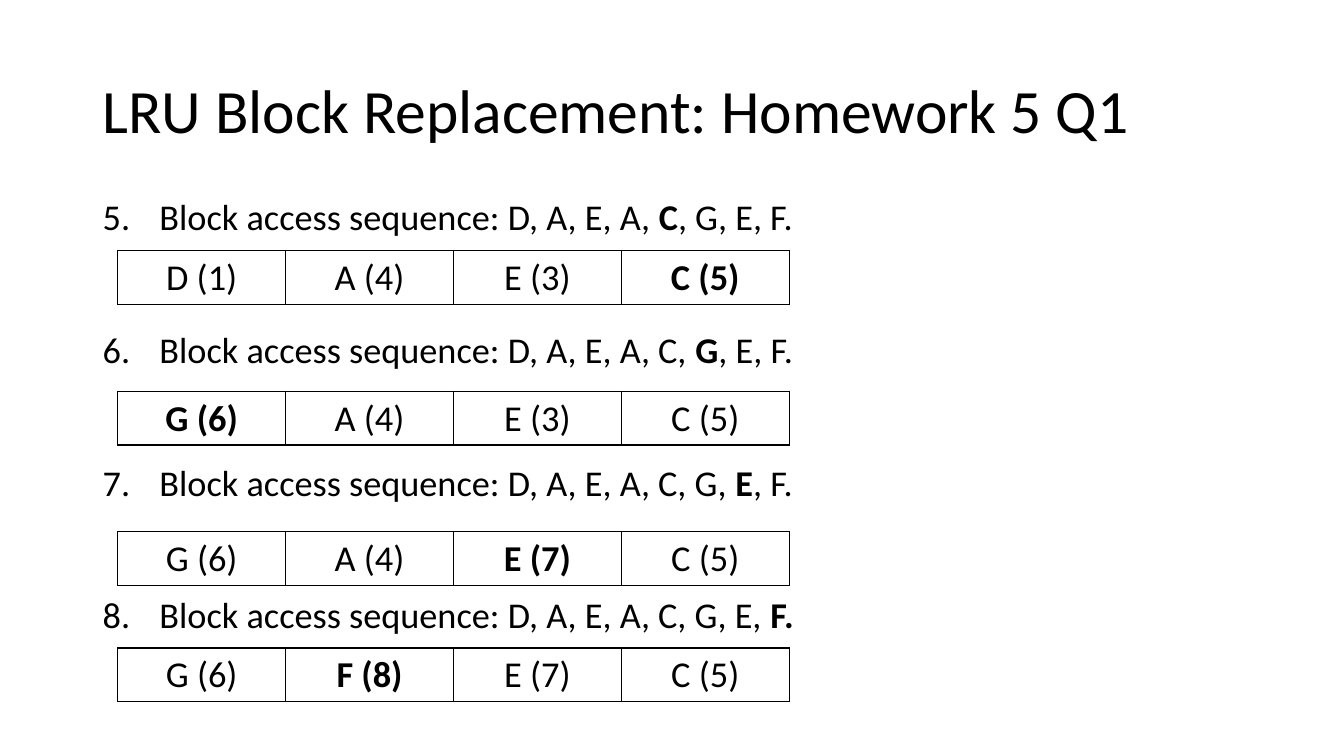
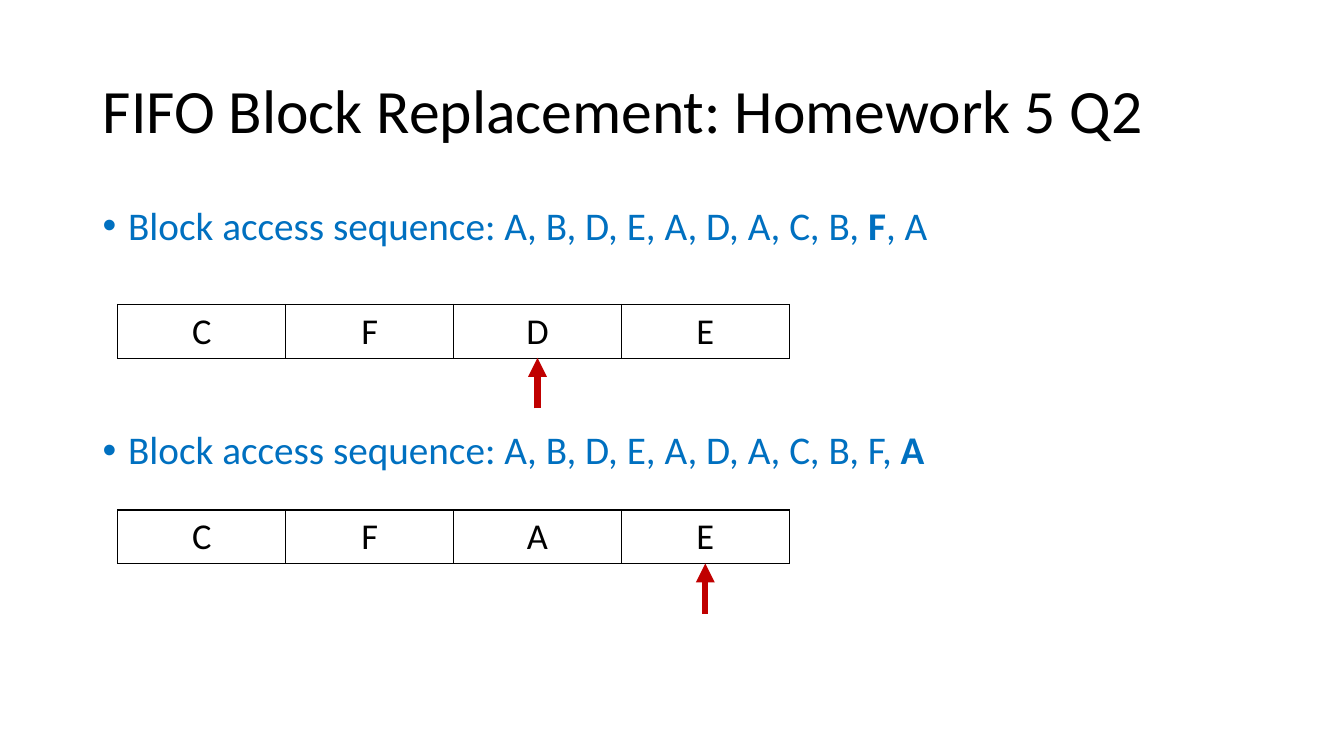
from dataclasses import dataclass

from lxml import etree
from pptx import Presentation
from pptx.dml.color import RGBColor
from pptx.enum import shapes, text
from pptx.oxml import ns
from pptx.util import Cm, Pt


@dataclass(frozen=True)
class Theme:
    font: str = "Calibri"
    ink: str = "000000"
    blue: str = "0070C0"
    red: str = "C00000"
    title: float = 44
    step: float = 25.9
    point: float = 28
    cell: float = 26
    left: float = 2.34
    width: float = 29.21
    grid: float = 2.97
    col: float = 4.23
    row: float = 1.35


THEME = Theme()


def add_xml(parent, tag, **attrs):
    return etree.SubElement(parent, ns.qn(tag), attrs)


def add_runs(para, line):
    """Write a line whose parts between asterisks are bold."""
    for i, part in enumerate(line.split("*")):
        if part:
            run = para.add_run()
            run.text = part
            if i % 2:
                run.font.bold = True


def set_font(para, size, color=THEME.ink):
    para.font.name = THEME.font
    para.font.size = Pt(size)
    para.font.color.rgb = RGBColor.from_string(color)


def add_box(slide, top, height):
    box = slide.shapes.add_textbox(
        Cm(THEME.left), Cm(top), Cm(THEME.width), Cm(height))
    box.text_frame.word_wrap = True
    return box.text_frame


def add_title(slide, line):
    frame = add_box(slide, 1.02, 3.68)
    frame.vertical_anchor = text.MSO_ANCHOR.MIDDLE
    para = frame.paragraphs[0]
    add_runs(para, line)
    para.line_spacing = 0.9
    set_font(para, THEME.title)


def add_list(slide, lines, size, color, indent, gap, spacing, start=None):
    """Add a list: numbered from start, or bulleted without one."""
    frame = add_box(slide, 5.08, 12.09)
    for i, line in enumerate(lines):
        para = frame.add_paragraph() if i else frame.paragraphs[0]
        add_runs(para, line)
        props = para._p.get_or_add_pPr()
        props.set("marL", str(Cm(indent)))
        props.set("indent", str(-Cm(indent)))
        add_xml(add_xml(props, "a:buClr"), "a:srgbClr", val=color)
        if start:
            add_xml(props, "a:buFont", typeface=THEME.font)
            add_xml(props, "a:buAutoNum", type="arabicPeriod",
                    startAt=str(start))
        else:
            add_xml(props, "a:buFont", typeface="Arial")
            add_xml(props, "a:buChar", char="•")
        para.line_spacing = spacing
        para.space_before = Pt(gap if i else 0)
        set_font(para, size, color)


def add_border(cell):
    props = cell._tc.get_or_add_tcPr()
    for i, side in enumerate(("a:lnL", "a:lnR", "a:lnT", "a:lnB")):
        line = etree.Element(ns.qn(side), w=str(Pt(1)))
        fill = add_xml(line, "a:solidFill")
        add_xml(fill, "a:srgbClr", val=THEME.ink)
        props.insert(i, line)


def add_cache(slide, top, blocks):
    """Add a one-row table of the cached blocks."""
    count = len(blocks)
    table = slide.shapes.add_table(
        1, count, Cm(THEME.grid), Cm(top),
        Cm(THEME.col * count), Cm(THEME.row)).table
    table.first_row = table.horz_banding = False
    for cell, block in zip(table.rows[0].cells, blocks):
        cell.fill.background()
        add_border(cell)
        para = cell.text_frame.paragraphs[0]
        add_runs(para, block)
        para.alignment = text.PP_ALIGN.CENTER
        set_font(para, THEME.cell)


def add_arrow(slide, top, slot):
    """Point up at the slot of the cache that starts at top."""
    x = Cm(THEME.grid + THEME.col * (slot + 0.5))
    tip = top + THEME.row
    arrow = slide.shapes.add_connector(
        shapes.MSO_CONNECTOR.STRAIGHT, x, Cm(tip + 1.27), x, Cm(tip))
    arrow.line.color.rgb = RGBColor.from_string(THEME.red)
    arrow.line.width = Pt(4.5)
    add_xml(arrow.line._get_or_add_ln(), "a:tailEnd", type="triangle")
    add_xml(arrow._element.spPr, "a:effectLst")


def add_lru(slide):
    add_title(slide, "LRU Block Replacement: Homework 5 Q1")
    steps = (
        ("D, A, E, A, *C*, G, E, F.", 6.32,
         ("D (1)", "A (4)", "E (3)", "*C (5)*")),
        ("D, A, E, A, C, *G*, E, F.", 9.86,
         ("*G (6)*", "A (4)", "E (3)", "C (5)")),
        ("D, A, E, A, C, G, *E*, F.", 13.39,
         ("G (6)", "A (4)", "*E (7)*", "C (5)")),
        ("D, A, E, A, C, G, E, *F.*", 16.33,
         ("G (6)", "*F (8)*", "E (7)", "C (5)")),
    )
    add_list(slide, [f"Block access sequence: {seq}" for seq, _, _ in steps],
             THEME.step, THEME.ink, 1.43, 73, 0.7, start=5)
    for _, top, blocks in steps:
        add_cache(slide, top, blocks)


def add_fifo(slide):
    add_title(slide, "FIFO Block Replacement: Homework 5 Q2")
    steps = (
        ("A, B, D, E, A, D, A, C, B, *F*, A", 7.67, "CFDE", 2),
        ("A, B, D, E, A, D, A, C, B, F, *A*", 12.85, "CFAE", 3),
    )
    add_list(slide, [f"Block access sequence: {step[0]}" for step in steps],
             THEME.point, THEME.blue, 0.64, 130, 0.9)
    for _, top, blocks, slot in steps:
        add_cache(slide, top, blocks)
        add_arrow(slide, top, slot)


def main():
    deck = Presentation()
    deck.slide_width, deck.slide_height = Cm(33.87), Cm(19.05)
    for build in (add_lru, add_fifo):
        build(deck.slides.add_slide(deck.slide_layouts[6]))
    deck.save("out.pptx")


if __name__ == "__main__":
    main()
